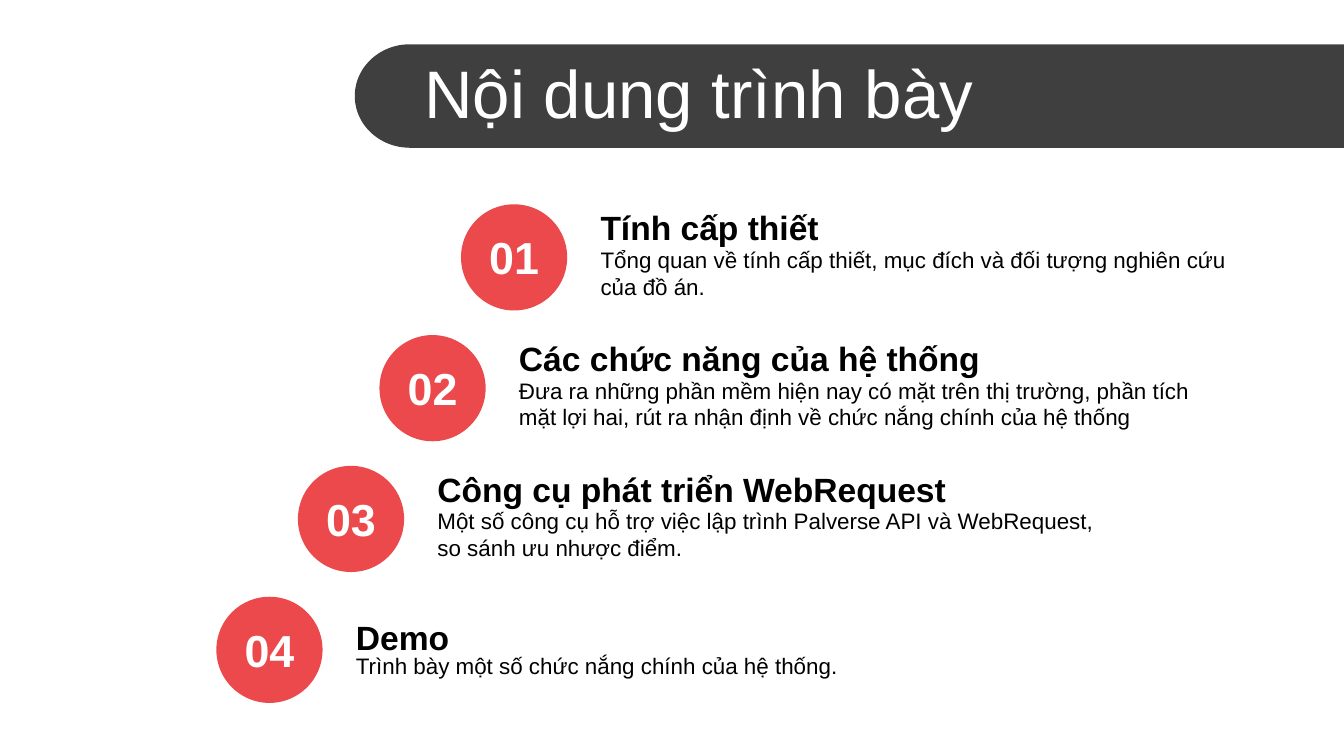
from math import cos, pi, sin

from pptx import Presentation
from pptx.dml.color import RGBColor
from pptx.enum.shapes import MSO_SHAPE
from pptx.enum.text import MSO_ANCHOR, PP_ALIGN
from pptx.util import Inches, Pt

OVAL = MSO_SHAPE.OVAL
MIDDLE = MSO_ANCHOR.MIDDLE
LEFT, CENTER = PP_ALIGN.LEFT, PP_ALIGN.CENTER

COLORS = {"banner": "3F3F3F", "badge": "EB494B", "light": "FFFFFF", "dark": "000000"}
FONT = "Arial"
PAGE_WIDTH = 10
PAGE_HEIGHT = PAGE_WIDTH * 9 / 16
BADGE_SIZE = 0.79
FIRST_LEFT, FIRST_TOP = 3.43, 1.52
LAST_LEFT, LAST_TOP = 1.61, 4.44
TITLE_WIDTH = 5.04

TOPICS = [
    ("Tính cấp thiết",
     "Tổng quan về tính cấp thiết, mục đích và đối tượng nghiên cứu của đồ án.",
     5.04, 2),
    ("Các chức năng của hệ thống",
     "Đưa ra những phần mềm hiện nay có mặt trên thị trường, phần tích mặt lợi hai, "
     "rút ra nhận định về chức nắng chính của hệ thống",
     5.33, 2),
    ("Công cụ phát triển WebRequest",
     "Một số công cụ hỗ trợ việc lập trình Palverse API và WebRequest, so sánh ưu nhược điểm.",
     5.23, 2),
    ("Demo", "Trình bày một số chức nắng chính của hệ thống.", 5.04, 1),
]


def paint(shape, color):
    shape.shadow.inherit = False
    shape.fill.solid()
    shape.fill.fore_color.rgb = RGBColor.from_string(COLORS[color])
    shape.line.fill.background()


def add_text(page, text, left, top, width, height, size, color="dark", bold=False, align=LEFT):
    box = page.shapes.add_textbox(Inches(left), Inches(top), Inches(width), Inches(height))
    frame = box.text_frame
    frame.word_wrap = True
    frame.vertical_anchor = MIDDLE
    para = frame.paragraphs[0]
    para.alignment = align
    span = para.add_run()
    span.text = text
    span.font.name = FONT
    span.font.size = Pt(size)
    span.font.bold = bold
    span.font.color.rgb = RGBColor.from_string(COLORS[color])


def add_banner(page, left, top, width, height, title):
    radius_x, radius_y = 0.41, height / 2
    steps = 48
    angles = [pi / 2 + pi * step / steps for step in range(steps + 1)]
    arc = [(Inches(left + radius_x + radius_x * cos(angle)),
            Inches(top + radius_y + radius_y * sin(angle))) for angle in angles]
    right = Inches(left + width)
    builder = page.shapes.build_freeform(right, Inches(top))
    builder.add_line_segments([(right, Inches(top + height))] + arc, close=True)
    paint(builder.convert_to_shape(), "banner")
    add_text(page, title, left + 0.42, top + 0.04, width - 0.42, 0.63, 36, color="light")


def add_topic(page, left, top, number, title, body, body_width, lines):
    badge = page.shapes.add_shape(OVAL, Inches(left), Inches(top),
                                  Inches(BADGE_SIZE), Inches(BADGE_SIZE))
    paint(badge, "badge")
    add_text(page, f"{number:02d}", left, top + 0.14, BADGE_SIZE, 0.5, 24,
             color="light", bold=True, align=CENTER)
    text_left = left + 0.94
    body_height = 0.1 + 0.2 * lines
    title_top = top - 0.03 if lines > 1 else top + 0.1
    add_text(page, body, text_left, top + 0.51 - body_height / 2, body_width, body_height, 12)
    add_text(page, title, text_left, title_top, TITLE_WIDTH, 0.4, 18, bold=True)


def main():
    deck = Presentation()
    deck.slide_width, deck.slide_height = Inches(PAGE_WIDTH), Inches(PAGE_HEIGHT)
    page = deck.slides.add_slide(deck.slide_layouts[6])
    add_banner(page, 2.64, 0.33, 7.36, 0.77, "Nội dung trình bày")
    gaps = len(TOPICS) - 1
    step_x, step_y = (LAST_LEFT - FIRST_LEFT) / gaps, (LAST_TOP - FIRST_TOP) / gaps
    for index, topic in enumerate(TOPICS):
        add_topic(page, FIRST_LEFT + index * step_x, FIRST_TOP + index * step_y,
                  index + 1, *topic)
    deck.save("out.pptx")


if __name__ == "__main__":
    main()
